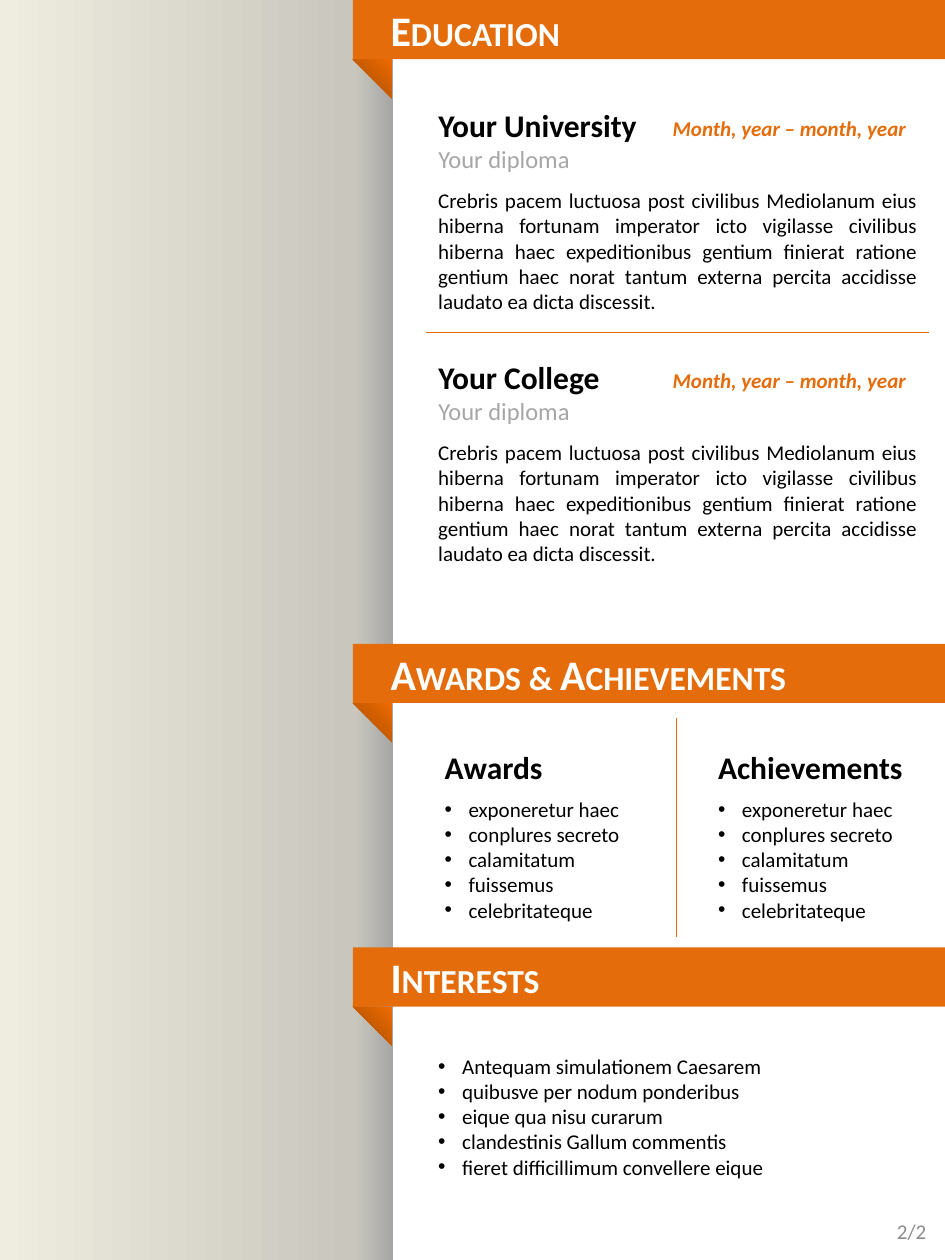
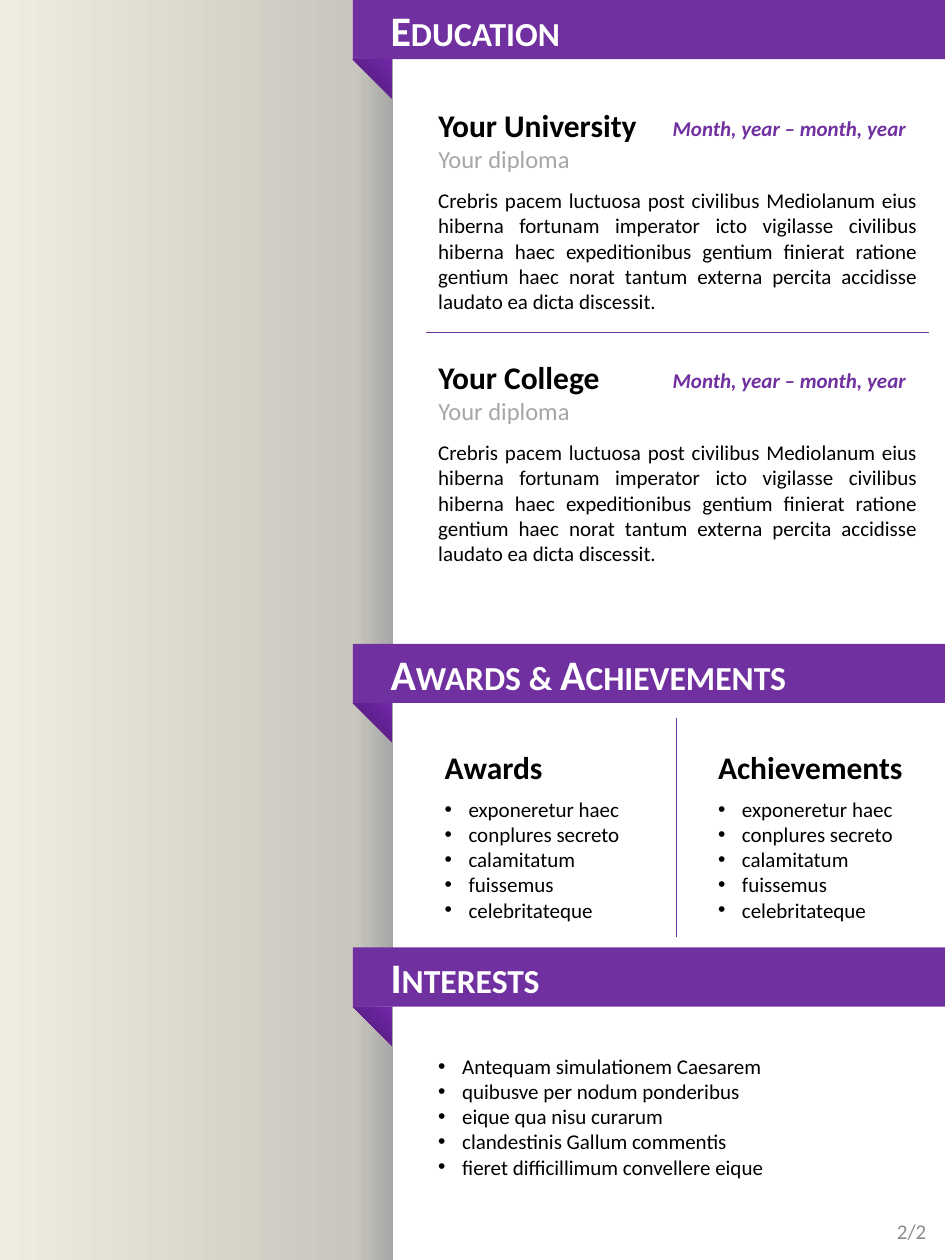
from lxml import etree
from pptx import Presentation
from pptx.dml.color import RGBColor
from pptx.enum.shapes import MSO_CONNECTOR, MSO_SHAPE
from pptx.enum.text import MSO_ANCHOR, MSO_AUTO_SIZE, PP_ALIGN
from pptx.oxml import parse_xml
from pptx.oxml.ns import nsdecls, qn
from pptx.util import Inches, Pt

RECTANGLE, TRIANGLE = MSO_SHAPE.RECTANGLE, MSO_SHAPE.RIGHT_TRIANGLE
STRAIGHT = MSO_CONNECTOR.STRAIGHT
LEFT, RIGHT, JUSTIFY = PP_ALIGN.LEFT, PP_ALIGN.RIGHT, PP_ALIGN.JUSTIFY
TOP, MIDDLE = MSO_ANCHOR.TOP, MSO_ANCHOR.MIDDLE
GROW, FIXED = MSO_AUTO_SIZE.SHAPE_TO_FIT_TEXT, MSO_AUTO_SIZE.NONE

COLOURS = {"white": "FFFFFF", "black": "000000", "grey": "A6A6A6", "page": "8C8C8C"}
SIDEBAR_STOPS = [(0, "A6A6A6"), (10, "C9C7BD"), (100, "EFEDE0")]
THEMES = [
    {"accent": "E46C0A", "fold": [(0, "8D4000"), (50, "C85B00"), (100, "EE6B00")]},
    {"accent": "7030A0", "fold": [(0, "431764"), (50, "5F218E"), (100, "7128A8")]},
]

STYLES = {
    "band": ("white", {"size": Pt(24), "bold": True}),
    "heading": ("black", {"size": Pt(18), "bold": True}),
    "diploma": ("grey", {"size": Pt(14)}),
    "body": ("black", {"size": Pt(12)}),
    "dates": ("accent", {"size": Pt(12), "bold": True, "italic": True}),
    "page": ("page", {"size": Pt(12)}),
}

SIDEBAR_WIDTH = 3.12
BAND_LEFT, BAND_WIDTH, BAND_HEIGHT, FOLD = 2.8, 4.7, 0.47, 0.31
BANDS = [("Education", 0), ("Awards & Achievements", 5.11), ("Interests", 7.52)]

STUDIES = [("Your University", 1.79, 0.79), ("Your College", 1.49, 2.79)]
DATES = "Month, year – month, year"
STUDY_TEXT = (
    "Crebris pacem luctuosa post civilibus Mediolanum eius hiberna fortunam "
    "imperator icto vigilasse civilibus hiberna haec expeditionibus gentium "
    "finierat ratione gentium haec norat tantum externa percita accidisse "
    "laudato ea dicta discessit."
)
HONOURS = [("Awards", 3.43, 0.99), ("Achievements", 5.6, 1.68)]
HONOUR_ITEMS = ["exponeretur haec", "conplures secreto", "calamitatum",
                "fuissemus", "celebritateque"]
INTERESTS = ["Antequam simulationem Caesarem", "quibusve per nodum ponderibus",
             "eique qua nisu curarum", "clandestinis Gallum commentis",
             "fieret difficillimum convellere eique"]
DIVIDERS = [(3.38, 2.64, 7.37, 2.64), (5.37, 5.7, 5.37, 7.44)]

# Each text block: box, lines with their style, alignment, wrapping, bullets
text_blocks = []
for school, width, top in STUDIES:
    text_blocks += [
        ((3.38, top, width, 0.64), [(school, "heading"), ("Your diploma", "diploma")],
         LEFT, False, False),
        ((3.38, top + 0.65, 4, 1.11), [(STUDY_TEXT, "body")], JUSTIFY, True, False),
        ((5.21, top + 0.08, 2.08, 0.3), [(DATES, "dates")], RIGHT, False, False),
    ]
for honour, left, width in HONOURS:
    text_blocks += [
        ((left, 5.89, width, 0.4), [(honour, "heading")], LEFT, False, False),
        ((left, 6.27, 1.72, 1.11), [(item, "body") for item in HONOUR_ITEMS],
         JUSTIFY, True, True),
    ]
text_blocks += [
    ((3.38, 8.31, 4, 1.11), [(item, "body") for item in INTERESTS], JUSTIFY, True, True),
    ((5.7, 9.51, 1.75, 0.53), [("2/2", "page")], RIGHT, True, False),
]


def fill_gradient(shape, stops, direction):
    """Fill a shape with colour stops along the given DrawingML direction."""
    marks = "".join(f'<a:gs pos="{place * 1000}"><a:srgbClr val="{colour}"/></a:gs>'
                    for place, colour in stops)
    shape.fill.background()
    empty_fill = shape.fill._xPr.find(qn("a:noFill"))
    empty_fill.getparent().replace(empty_fill, parse_xml(
        f'<a:gradFill {nsdecls("a")} rotWithShape="1"><a:gsLst>{marks}</a:gsLst>'
        f'{direction}</a:gradFill>'))


def write_lines(frame, lines, align, palette, bulleted=False):
    """Write styled lines into a text frame, one paragraph each."""
    for number, (text, style) in enumerate(lines):
        paragraph = frame.add_paragraph() if number else frame.paragraphs[0]
        paragraph.alignment = align
        run = paragraph.add_run()
        run.text = text
        colour, formats = STYLES[style]
        for attribute, value in formats.items():
            setattr(run.font, attribute, value)
        run.font.name = "Calibri"
        run.font.color.rgb = RGBColor.from_string(palette[colour])
        if style == "band":
            run.font._element.set("cap", "small")
        if bulleted:
            properties = paragraph._p.get_or_add_pPr()
            properties.set("marL", str(Inches(0.19)))
            properties.set("indent", str(-Inches(0.19)))
            etree.SubElement(properties, qn("a:buFont")).set("typeface", "Arial")
            etree.SubElement(properties, qn("a:buChar")).set("char", "•")


resume = Presentation()
resume.slide_width, resume.slide_height = Inches(7.5), Inches(10)

for theme in THEMES:
    slide = resume.slides.add_slide(resume.slide_layouts[6])
    palette = {**COLOURS, "accent": theme["accent"]}
    accent = RGBColor.from_string(theme["accent"])

    sidebar = slide.shapes.add_shape(
        RECTANGLE, 0, 0, Inches(SIDEBAR_WIDTH), resume.slide_height)
    sidebar.shadow.inherit = False
    sidebar.line.fill.background()
    fill_gradient(sidebar, SIDEBAR_STOPS, '<a:lin ang="10800000" scaled="0"/>')

    for title, top in BANDS:
        ribbon = slide.shapes.add_group_shape()
        fold = ribbon.shapes.add_shape(
            TRIANGLE, Inches(BAND_LEFT), Inches(top + BAND_HEIGHT),
            Inches(FOLD), Inches(FOLD))
        fold.rotation = 270
        fold._element.spPr.get_or_add_xfrm().set("flipH", "1")
        fill_gradient(fold, theme["fold"],
                      '<a:path path="circle"><a:fillToRect t="100000" r="100000"/></a:path>')
        band = ribbon.shapes.add_shape(
            RECTANGLE, Inches(BAND_LEFT), Inches(top), Inches(BAND_WIDTH), Inches(BAND_HEIGHT))
        band.fill.solid()
        band.fill.fore_color.rgb = accent
        for part in (fold, band):
            part.shadow.inherit = False
            part.line.fill.background()
        band.text_frame.margin_left = Inches(0.3)
        band.text_frame.vertical_anchor = MIDDLE
        write_lines(band.text_frame, [(title, "band")], LEFT, palette)

    for box, lines, align, wraps, bulleted in text_blocks:
        frame = slide.shapes.add_textbox(*map(Inches, box)).text_frame
        is_page = lines[0][1] == "page"
        frame.word_wrap = wraps
        frame.auto_size = FIXED if is_page else GROW
        frame.vertical_anchor = MIDDLE if is_page else TOP
        write_lines(frame, lines, align, palette, bulleted)

    for ends in DIVIDERS:
        divider = slide.shapes.add_connector(STRAIGHT, *map(Inches, ends))
        divider.line.color.rgb = accent
        divider.line.width = Pt(0.75)
        etree.SubElement(divider._element.spPr, qn("a:effectLst"))

resume.save("out.pptx")
